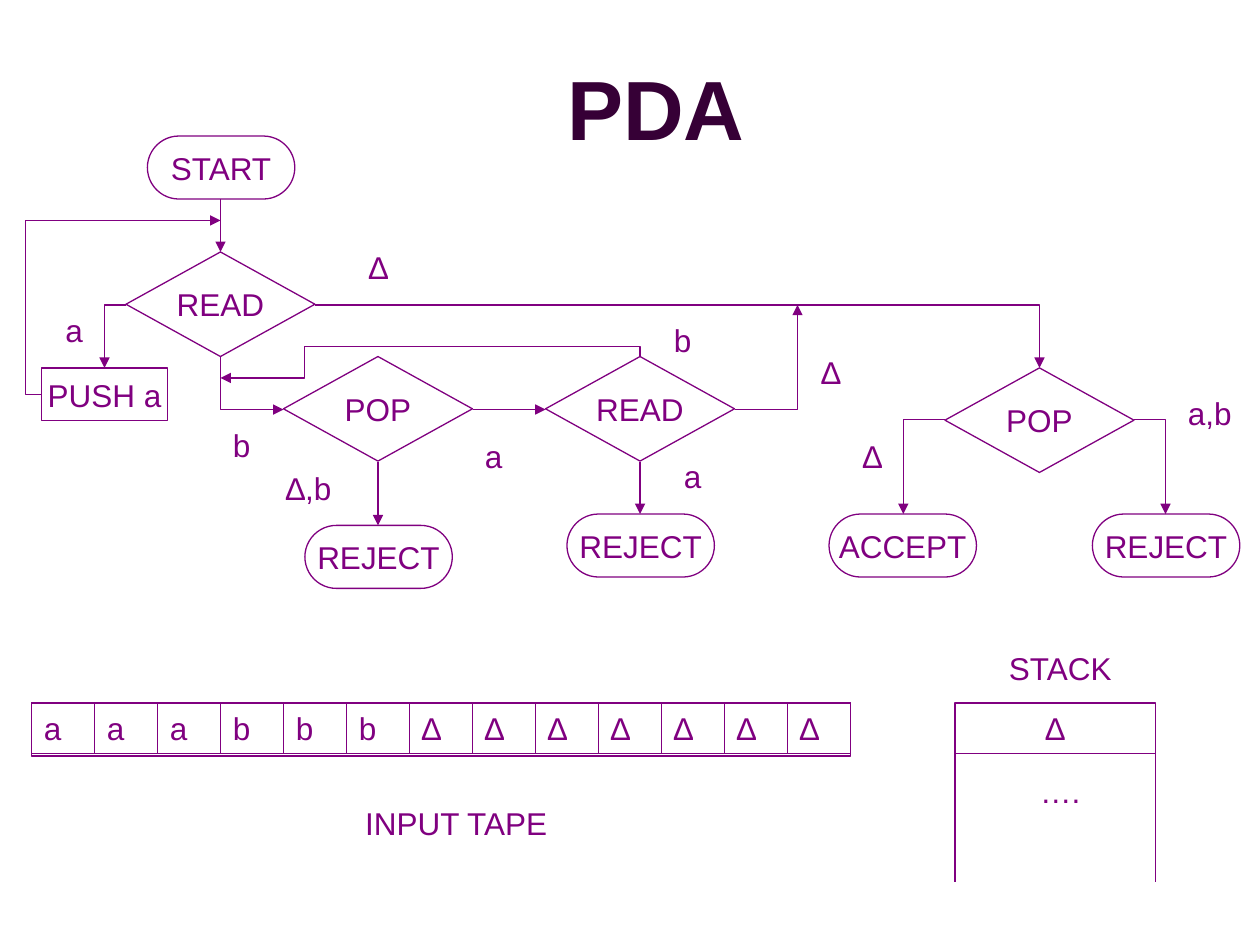
from lxml import etree
from pptx import Presentation
from pptx.dml.color import RGBColor
from pptx.enum.shapes import MSO_CONNECTOR, MSO_SHAPE
from pptx.enum.text import MSO_ANCHOR, MSO_AUTO_SIZE, PP_ALIGN
from pptx.oxml.ns import qn
from pptx.util import Inches, Pt

PURPLE = RGBColor(0x80, 0x00, 0x80)
DARK = RGBColor(0x36, 0x00, 0x36)

TERMINAL, DIAMOND, RECT = (
    MSO_SHAPE.ROUNDED_RECTANGLE, MSO_SHAPE.DIAMOND, MSO_SHAPE.RECTANGLE)
STRAIGHT, ELBOW = MSO_CONNECTOR.STRAIGHT, MSO_CONNECTOR.ELBOW
LEFT, CENTER = PP_ALIGN.LEFT, PP_ALIGN.CENTER
TOP, MIDDLE = MSO_ANCHOR.TOP, MSO_ANCHOR.MIDDLE
GROW, FIXED = MSO_AUTO_SIZE.SHAPE_TO_FIT_TEXT, MSO_AUTO_SIZE.NONE

TERMINAL_SIZE = (1.17, 0.5)
DIAMOND_SIZE = (1.5, 0.83)
ROW_H = 0.4
TAPE_X, TAPE_Y, CELL_W = 0.25, 5.58, 0.5
TAPE = "aaabbb∆∆∆∆∆∆∆"
STACK_LEFT, STACK_RIGHT, STACK_BOTTOM = 7.58, 9.17, 7

NODES = [
    ("START", TERMINAL, 1.17, 1.08, TERMINAL_SIZE),
    ("PUSH a", RECT, 0.33, 2.92, (1, 0.42)),
    ("REJECT", TERMINAL, 8.67, 4.08, TERMINAL_SIZE),
    ("ACCEPT", TERMINAL, 6.58, 4.08, TERMINAL_SIZE),
    ("REJECT", TERMINAL, 4.5, 4.08, TERMINAL_SIZE),
    ("REJECT", TERMINAL, 2.42, 4.17, TERMINAL_SIZE),
    ("READ", DIAMOND, 1, 2, DIAMOND_SIZE),
    ("POP", DIAMOND, 2.25, 2.83, DIAMOND_SIZE),
    ("READ", DIAMOND, 4.33, 2.83, DIAMOND_SIZE),
    ("POP", DIAMOND, 7.5, 2.92, DIAMOND_SIZE),
]
STRAIGHT_ARROWS = [
    ((3.75, 3.25), (4.33, 3.25)),
    ((1.75, 1.58), (1.75, 2)),
    ((5.08, 3.67), (5.08, 4.08)),
    ((3, 3.67), (3, 4.17)),
]
CORNER_ARROWS = [
    ((1, 2.42), (0.83, 2.92)),
    ((7.5, 3.33), (7.17, 4.08)),
    ((9, 3.33), (9.25, 4.08)),
    ((2.5, 2.42), (8.25, 2.92)),
    ((5.83, 3.25), (6.33, 2.42)),
]
LABELS = [
    ("a", 0.42, 2.42, 0.33), ("a", 3.75, 3.42, 0.33), ("a", 5.33, 3.58, 0.33),
    ("b", 1.75, 3.33, 0.33), ("b", 5.25, 2.5, 0.33),
    ("∆", 2.83, 1.92, 0.33), ("∆", 6.42, 2.75, 0.33), ("∆", 6.75, 3.42, 0.33),
    ("a,b", 9.33, 3.08, 0.67), ("∆,b", 2.17, 3.67, 0.58),
]
CAPTIONS = [
    ("….", 8.08, 6.08, 0.67),
    ("INPUT TAPE", 1.83, 6.33, 3.58),
    ("STACK", 7.58, 5.1, 1.67),
]


def write(s, text, align=LEFT, size=18, color=PURPLE, bold=False, **frame):
    tf = s.text_frame
    settings = {"word_wrap": True, "auto_size": GROW, "vertical_anchor": TOP}
    for name, value in (settings | frame).items():
        setattr(tf, name, value)
    p = tf.paragraphs[0]
    p.alignment = align
    r = p.add_run()
    r.text = text
    for name, value in {"name": "Arial", "size": Pt(size), "bold": bold}.items():
        setattr(r.font, name, value)
    r.font.color.rgb = color


def add_title(slide, text):
    s = slide.shapes.title
    box = {"left": 1.17, "top": 0.25, "width": 8.07, "height": 1.19}
    for name, value in box.items():
        setattr(s, name, Inches(value))
    write(s, text, CENTER, 48, DARK, True, auto_size=FIXED, vertical_anchor=MIDDLE)


def add_outline(slide, kind, x, y, w, h):
    s = slide.shapes.add_shape(kind, Inches(x), Inches(y), Inches(w), Inches(h))
    s.shadow.inherit = False
    s.fill.background()
    s.line.color.rgb = PURPLE
    s.line.width = Pt(0.75)
    return s


def add_node(slide, text, kind, x, y, size):
    s = add_outline(slide, kind, x, y, *size)
    if kind == TERMINAL:
        s.adjustments[0] = 0.5
    write(s, text, CENTER, word_wrap=False, auto_size=FIXED, vertical_anchor=MIDDLE)


def add_cell(slide, text, x, y, w, align=LEFT):
    write(add_outline(slide, RECT, x, y, w, ROW_H), text, align)


def add_label(slide, text, x, y, w, align=LEFT):
    s = slide.shapes.add_textbox(Inches(x), Inches(y), Inches(w), Inches(ROW_H))
    write(s, text, align)


def add_line(slide, begin, end, kind=STRAIGHT, arrow=False):
    c = slide.shapes.add_connector(kind, *map(Inches, begin + end))
    c.line.color.rgb = PURPLE
    c.line.width = Pt(0.75)
    if arrow:
        etree.SubElement(c.line._get_or_add_ln(), qn("a:tailEnd"), type="triangle")
    etree.SubElement(c._element.spPr, qn("a:effectLst"))
    return c


def add_bent_arrow(slide, begin, end, bends=1, adjust=(), vertical=False):
    """Arrow with right-angle bends; a vertical one leaves its start upright.

    The adjust values place the inner segments as fractions of the span.
    """
    (x1, y1), (x2, y2) = begin, end
    if vertical:
        # A quarter turn about the centre swaps the two spans.
        cx, cy = (x1 + x2) / 2, (y1 + y2) / 2
        dx, dy = abs(y2 - y1) / 2, abs(x2 - x1) / 2
        begin, end = (cx - dx, cy - dy), (cx + dx, cy + dy)
    c = add_line(slide, begin, end, ELBOW, arrow=True)
    spPr = c._element.spPr
    if vertical:
        xfrm = spPr.find(qn("a:xfrm"))
        xfrm.set("rot", str(90 * 60000))
        if x2 > x1:
            xfrm.set("flipV", "1")
    geom = spPr.find(qn("a:prstGeom"))
    geom.set("prst", f"bentConnector{bends + 1}")
    for i, value in enumerate(adjust, 1):
        etree.SubElement(geom.find(qn("a:avLst")), qn("a:gd"),
                         name=f"adj{i}", fmla=f"val {round(value * 100000)}")


def add_flowchart(slide):
    for node in NODES:
        add_node(slide, *node)
    for begin, end in STRAIGHT_ARROWS:
        add_line(slide, begin, end, arrow=True)
    for begin, end in CORNER_ARROWS:
        add_bent_arrow(slide, begin, end)
    add_bent_arrow(slide, (1.75, 2.83), (2.25, 3.25), vertical=True)
    add_bent_arrow(slide, (0.33, 3.13), (1.75, 1.75), 2, (-0.09,))
    add_bent_arrow(slide, (5.08, 2.83), (1.75, 3), 3, (-0.48, 0.8), vertical=True)
    for label in LABELS:
        add_label(slide, *label)


def add_tape(slide):
    add_outline(slide, RECT, TAPE_X, TAPE_Y, CELL_W * len(TAPE), 0.42)
    for i, symbol in enumerate(TAPE):
        add_cell(slide, symbol, TAPE_X + i * CELL_W, TAPE_Y, CELL_W)


def add_stack(slide):
    for x in (STACK_LEFT, STACK_RIGHT):
        add_line(slide, (x, TAPE_Y), (x, STACK_BOTTOM))
    add_line(slide, (STACK_LEFT, TAPE_Y), (STACK_RIGHT, TAPE_Y))
    add_cell(slide, "∆", STACK_LEFT, TAPE_Y, STACK_RIGHT - STACK_LEFT, CENTER)


def main():
    prs = Presentation()
    prs.slide_width, prs.slide_height = Inches(10), Inches(7.5)
    slide = prs.slides.add_slide(prs.slide_layouts[5])
    add_title(slide, "PDA")
    add_flowchart(slide)
    add_tape(slide)
    add_stack(slide)
    for caption in CAPTIONS:
        add_label(slide, *caption, CENTER)
    prs.save("out.pptx")


if __name__ == "__main__":
    main()
